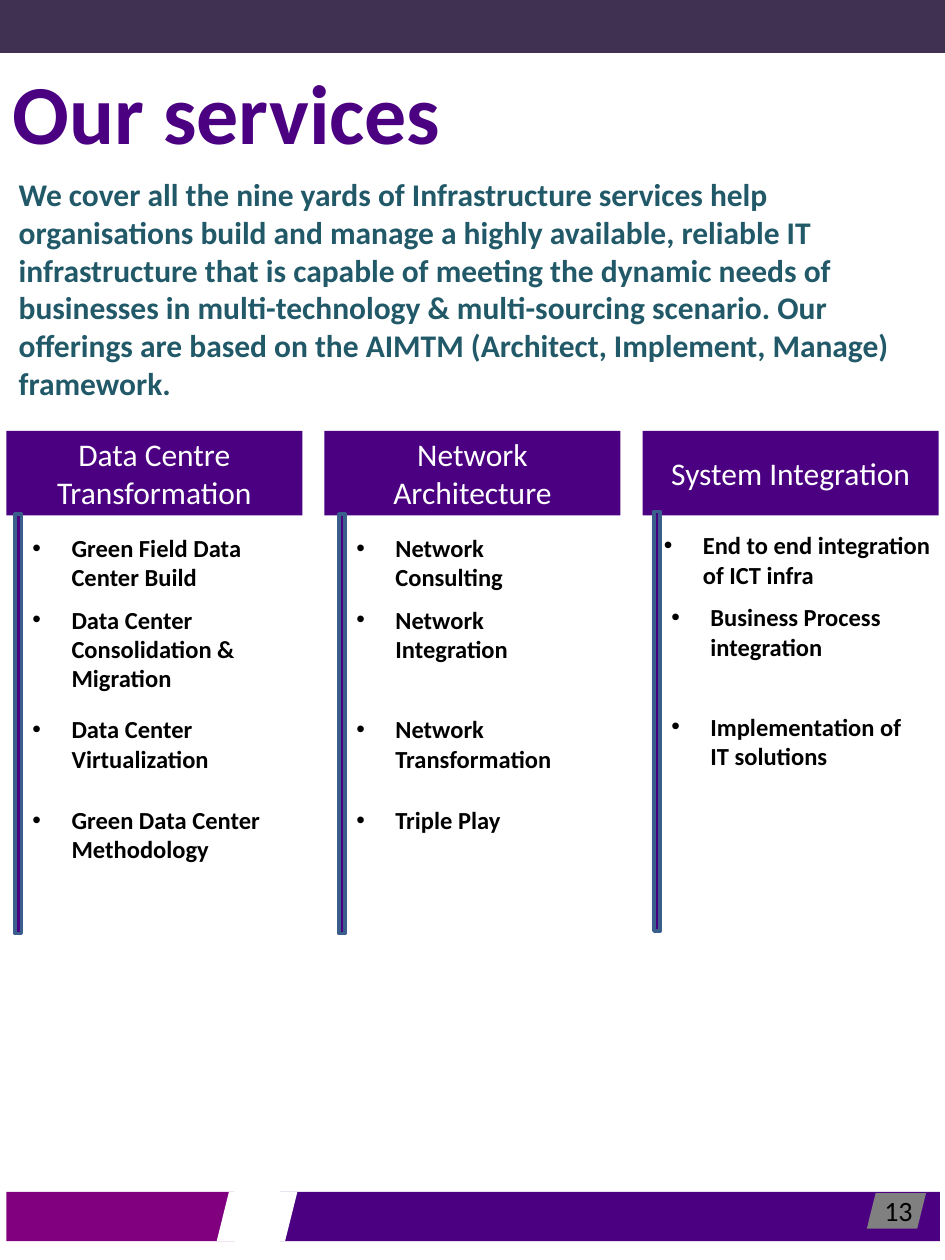
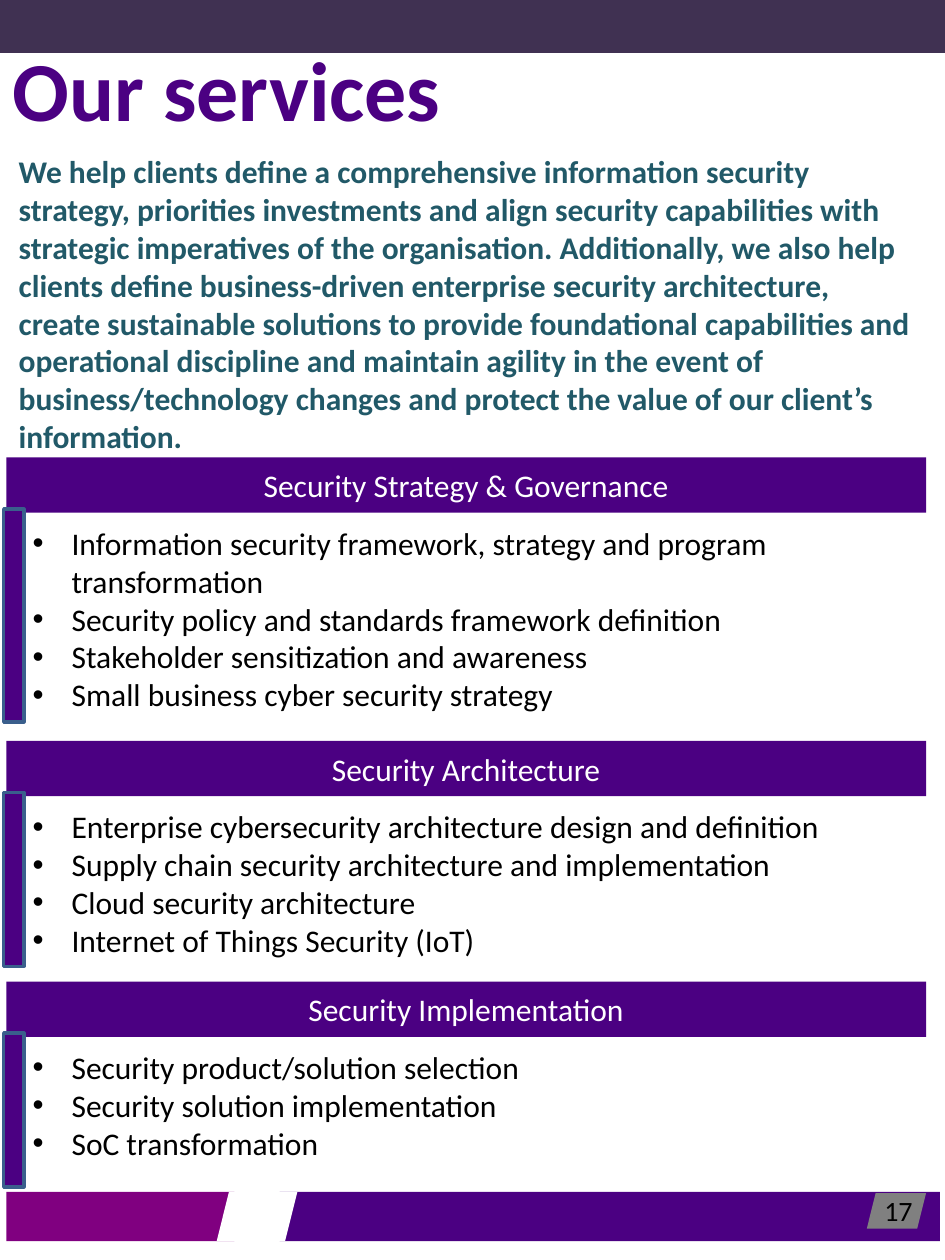
from dataclasses import dataclass

from lxml import etree
from pptx import Presentation
from pptx.dml.color import RGBColor
from pptx.enum.shapes import MSO_SHAPE as Preset
from pptx.enum.text import MSO_ANCHOR as Anchor, MSO_AUTO_SIZE as AutoSize, PP_ALIGN as Align
from pptx.oxml.ns import qn
from pptx.util import Inches, Pt

INDIGO = RGBColor(0x4B, 0x00, 0x82)
PURPLE = RGBColor(0x80, 0x00, 0x80)
PLUM = RGBColor(0x40, 0x31, 0x52)
TEAL = RGBColor(0x21, 0x59, 0x68)
STEEL = RGBColor(0x3A, 0x5F, 0x8C)
GREY = RGBColor(0x80, 0x80, 0x80)
WHITE = RGBColor(0xFF, 0xFF, 0xFF)
BLACK = RGBColor(0x00, 0x00, 0x00)

FONT = "Calibri"
TITLE_FORMAT = {"size": Pt(48), "bold": True, "color": INDIGO}
INTRO_FORMAT = {"size": Pt(18), "bold": True, "color": TEAL}
HEADING_FORMAT = {"size": Pt(18), "bold": False, "color": WHITE}
OFFERING_FORMAT = {"size": Pt(14), "bold": True, "color": BLACK}
POINT_FORMAT = {"size": Pt(18), "bold": False, "color": BLACK}
NUMBER_FORMAT = {"size": Pt(16), "bold": False, "color": BLACK}

HANGING = 0.31
MARGIN = 0.05
OFFERING_WIDTH = 2.1
OFFERING_STEPS = (0.1, 0.67, 1.54, 2.26)
COLUMN_WIDTH = 2.35
COLUMN_PITCH = 2.525


@dataclass
class Column:
    heading: str
    rail_left: float
    rail_top: float
    offerings: tuple
    first_shift: float = 0
    first_width: float = OFFERING_WIDTH


@dataclass
class Section:
    heading: str
    top: float
    rail_height: float
    points: tuple


COLUMNS = (
    Column("Data Centre Transformation", 0.12, 4.08,
           ("Green Field Data Center Build",
            "Data Center Consolidation & Migration",
            "Data Center Virtualization",
            "Green Data Center Methodology")),
    Column("Network Architecture", 2.69, 4.08,
           ("Network Consulting", "Network Integration",
            "Network Transformation", "Triple Play")),
    Column("System Integration", 5.19, 4.06,
           ("End to end integration of ICT infra",
            "Business Process integration",
            "Implementation of IT solutions"),
           first_shift=-0.06, first_width=2.46),
)

SECTIONS = (
    Section("Security Strategy & Governance", 3.63, 1.69,
            ("Information security framework, strategy and program transformation",
             "Security policy and standards framework definition",
             "Stakeholder sensitization and awareness",
             "Small business cyber security strategy")),
    Section("Security Architecture", 5.88, 1.38,
            ("Enterprise cybersecurity architecture design and definition",
             "Supply chain security architecture and implementation",
             "Cloud security architecture",
             "Internet of Things Security (IoT)")),
    Section("Security Implementation", 7.79, 1.22,
            ("Security product/solution selection",
             "Security solution implementation",
             "SoC transformation")),
)

INFRASTRUCTURE_INTRO = (
    "We cover all the nine yards of Infrastructure services help organisations build "
    "and manage a highly available, reliable IT infrastructure that is capable of "
    "meeting the dynamic needs of businesses in multi-technology & multi-sourcing "
    "scenario. Our offerings are based on the AIMTM (Architect, Implement, Manage) "
    "framework.")
SECURITY_INTRO = (
    "We help clients define a comprehensive information security strategy, priorities "
    "investments and align security capabilities with strategic imperatives of the "
    "organisation. Additionally, we also help clients define business-driven enterprise "
    "security architecture, create sustainable solutions to provide foundational "
    "capabilities and operational discipline and maintain agility in the event of "
    "business/technology changes and protect the value of our client’s information.")


def inches(box):
    return [Inches(length) for length in box]


def write(frame, lines, text_format, align=Align.LEFT, anchor=Anchor.TOP, fit=AutoSize.NONE):
    frame.word_wrap = True
    frame.auto_size = fit
    frame.vertical_anchor = anchor
    for index, line in enumerate(lines):
        paragraph = frame.add_paragraph() if index else frame.paragraphs[0]
        paragraph.alignment = align
        font = paragraph.add_run().font
        paragraph.runs[0].text = line
        font.name = FONT
        for name, value in text_format.items():
            if name == "color":
                font.color.rgb = value
            else:
                setattr(font, name, value)


def add_text(slide, box, lines, text_format, fit=AutoSize.SHAPE_TO_FIT_TEXT):
    frame = slide.shapes.add_textbox(*inches(box)).text_frame
    write(frame, lines, text_format, fit=fit)
    return frame


def add_bullets(slide, box, lines, text_format):
    for paragraph in add_text(slide, box, lines, text_format).paragraphs:
        properties = paragraph._p.get_or_add_pPr()
        properties.set("marL", str(Inches(HANGING)))
        properties.set("indent", str(-Inches(HANGING)))
        etree.SubElement(properties, qn("a:buFont"), typeface="Arial")
        etree.SubElement(properties, qn("a:buChar"), char="•")


def add_block(slide, box, fill, preset=Preset.RECTANGLE):
    block = slide.shapes.add_shape(preset, *inches(box))
    block.shadow.inherit = False
    block.fill.solid()
    block.fill.fore_color.rgb = fill
    block.line.fill.background()
    return block


def add_heading(slide, box, text):
    frame = add_block(slide, box, INDIGO).text_frame
    write(frame, [text], HEADING_FORMAT, Align.CENTER, Anchor.MIDDLE)


def add_rail(slide, box):
    rail = add_block(slide, box, INDIGO)
    rail.line.color.rgb = STEEL
    rail.line.width = Pt(2)


def add_footer(slide, number, top=9.46):
    add_block(slide, (MARGIN, top, 1.81, 0.39), PURPLE)
    add_block(slide, (2.22, top, 5.24, 0.39), INDIGO)
    add_block(slide, (1.72, top, 0.64, 0.39), WHITE, Preset.PARALLELOGRAM)
    add_block(slide, (6.88, top + 0.01, 0.47, 0.28), GREY, Preset.PARALLELOGRAM)
    add_text(slide, (6.92, top - 0.04, 0.58, 0.53), [str(number)], NUMBER_FORMAT, AutoSize.NONE)


def add_services_slide(deck, number, title_top, intro, intro_height):
    """Add a slide with the shared bands, title and introduction."""
    slide = deck.slides.add_slide(deck.slide_layouts[5])
    add_footer(slide, number)
    add_block(slide, (0, 0, 7.5, 0.42), PLUM)
    title = slide.shapes.title
    title.left, title.top, title.width, title.height = inches((0, title_top, 7.25, 0.91))
    write(title.text_frame, ["Our services"], TITLE_FORMAT)
    intro_frame = add_text(slide, (MARGIN, title_top + 0.91, 7.3, intro_height),
                           [intro], INTRO_FORMAT)
    intro_frame.paragraphs[0].space_after = Pt(7.5)
    return slide


def add_column(slide, left, column):
    """Place a heading at left, with its rail and offerings below."""
    add_heading(slide, (left, 3.42, COLUMN_WIDTH, 0.67), column.heading)
    add_rail(slide, (column.rail_left, column.rail_top, 0.05, 3.33))
    for index, (step, offering) in enumerate(zip(OFFERING_STEPS, column.offerings)):
        shift, width = (0, OFFERING_WIDTH) if index else (column.first_shift, column.first_width)
        box = (column.rail_left + 0.04 + shift, column.rail_top + step, width, 0.57)
        add_bullets(slide, box, [offering], OFFERING_FORMAT)


def add_section(slide, section):
    add_heading(slide, (MARGIN, section.top, 7.3, 0.44), section.heading)
    add_rail(slide, (0.03, section.top + 0.41, 0.16, section.rail_height))
    text_height = 0.1 + 0.3 * len(section.points)
    add_bullets(slide, (0.16, section.top + 0.48, 7.18, text_height),
                section.points, POINT_FORMAT)


def main():
    deck = Presentation()
    deck.slide_width, deck.slide_height = inches((7.5, 10))

    infrastructure = add_services_slide(deck, 13, 0.43, INFRASTRUCTURE_INTRO, 1.92)
    for index, column in enumerate(COLUMNS):
        add_column(infrastructure, MARGIN + index * COLUMN_PITCH, column)

    security = add_services_slide(deck, 17, 0.25, SECURITY_INTRO, 2.52)
    for section in SECTIONS:
        add_section(security, section)

    deck.save("out.pptx")


if __name__ == "__main__":
    main()
